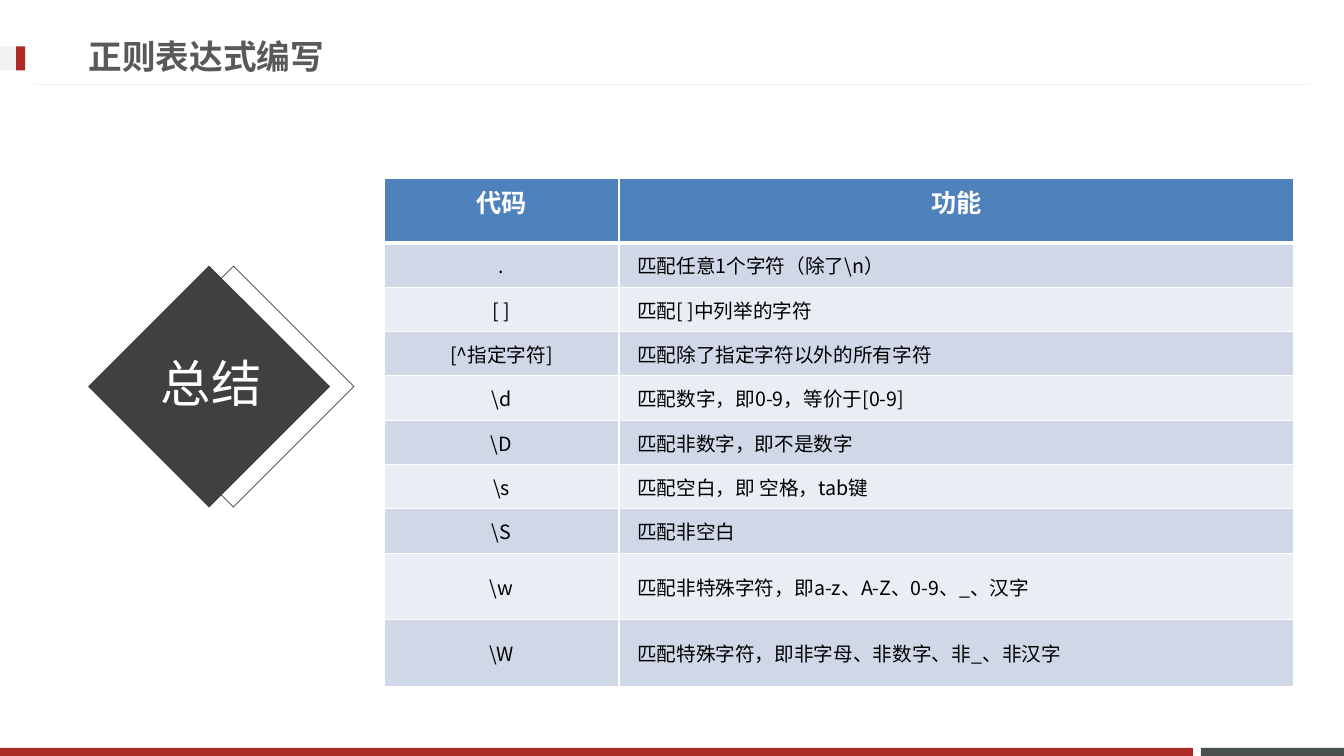
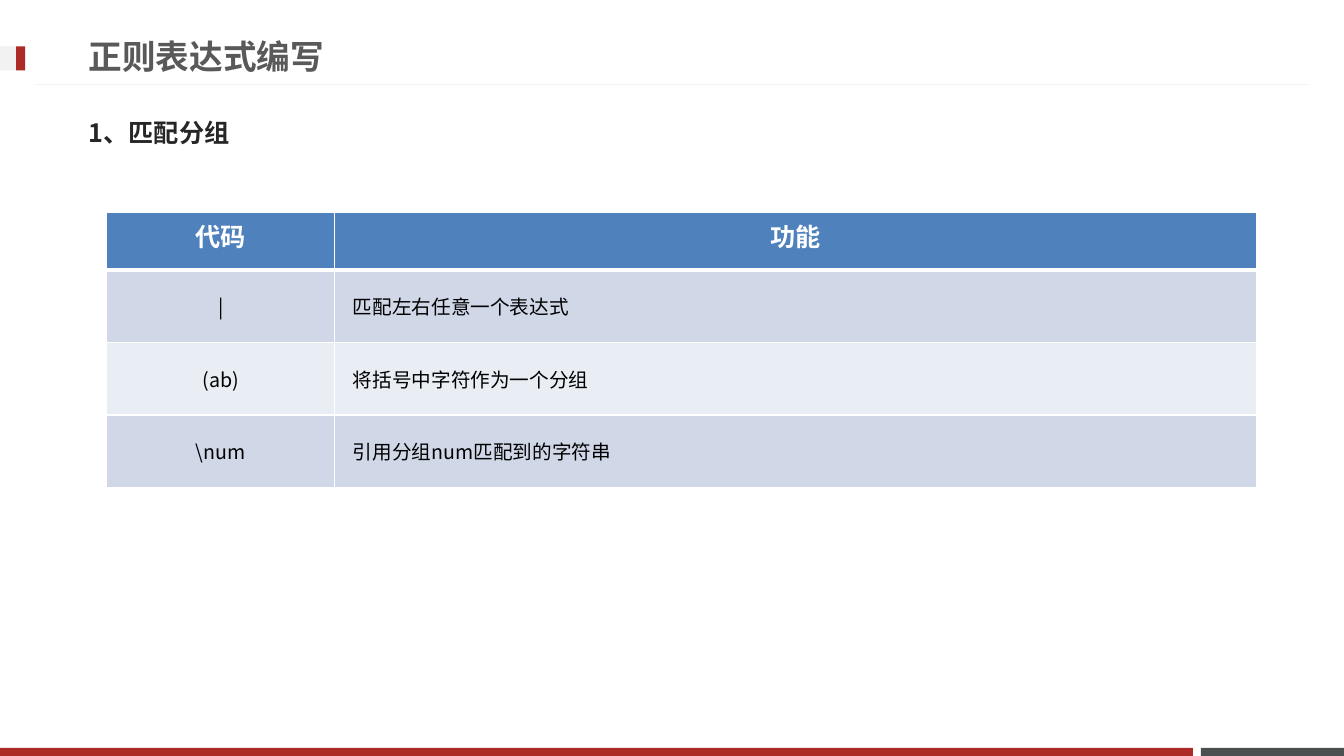
from dataclasses import dataclass
from math import sqrt

from pptx import Presentation
from pptx.dml.color import RGBColor
from pptx.enum.shapes import MSO_CONNECTOR, MSO_SHAPE
from pptx.enum.text import MSO_ANCHOR as Anchor, PP_ALIGN as Align
from pptx.oxml.ns import qn
from pptx.util import Inches, Pt
from lxml.etree import SubElement

WHITE = RGBColor(0xFF, 0xFF, 0xFF)
BLACK = RGBColor(0x00, 0x00, 0x00)
RED = RGBColor(0xAD, 0x2B, 0x26)
SLATE = RGBColor(0x49, 0x50, 0x4F)
CHARCOAL = RGBColor(0x40, 0x40, 0x40)
PALE = RGBColor(0xF2, 0xF2, 0xF2)
TITLE_GREY = RGBColor(0x59, 0x59, 0x59)
HEADING_GREY = RGBColor(0x26, 0x26, 0x26)
HEADER_BLUE = RGBColor(0x4F, 0x81, 0xBD)
BANDS = (RGBColor(0xD0, 0xD8, 0xE8), RGBColor(0xE9, 0xED, 0xF4))

CJK = "Noto Sans CJK SC"
TITLE = dict(name="Arial", size=Pt(24), bold=True, color=TITLE_GREY)
HEADING = dict(name=CJK, size=Pt(18), bold=True, color=HEADING_GREY)
BADGE = dict(name=CJK, size=Pt(36), bold=False, color=WHITE)
TABLE_HEAD = dict(name="Calibri", size=Pt(18), bold=True, color=WHITE)
TABLE_BODY = dict(name=CJK, size=Pt(14), bold=False, color=BLACK)
BODY_MARGINS = dict(margin_left=Inches(0.18), margin_right=Inches(0.18),
                    margin_top=Inches(0.08), margin_bottom=Inches(0.08))
HAIRLINE, HEAD_RULE = Pt(1), Pt(3)

TOPIC = "正则表达式编写"
COLUMNS = ("代码", "功能")
SUMMARY = [
    (".", "匹配任意1个字符（除了\\n）"),
    ("[ ]", "匹配[ ]中列举的字符"),
    ("[^指定字符]", "匹配除了指定字符以外的所有字符"),
    ("\\d", "匹配数字，即0-9，等价于[0-9]"),
    ("\\D", "匹配非数字，即不是数字"),
    ("\\s", "匹配空白，即 空格，tab键"),
    ("\\S", "匹配非空白"),
    ("\\w", "匹配非特殊字符，即a-z、A-Z、0-9、_、汉字"),
    ("\\W", "匹配特殊字符，即非字母、非数字、非_、非汉字"),
]
GROUPING = [
    ("|", "匹配左右任意一个表达式"),
    ("(ab)", "将括号中字符作为一个分组"),
    ("\\num", "引用分组num匹配到的字符串"),
]


@dataclass
class Box:
    left: int
    top: int
    width: int
    height: int

    def inner(self, left, top, width, height):
        """Return an inner box given in percent of this one."""
        return Box(self.left + int(self.width * left / 100),
                   self.top + int(self.height * top / 100),
                   int(self.width * width / 100),
                   int(self.height * height / 100))

    @property
    def place(self):
        return self.left, self.top, self.width, self.height


PAGE = Box(0, 0, Inches(13.33), Inches(7.5))


def write(frame, text, style, align=Align.LEFT, anchor=Anchor.MIDDLE):
    """Fill a text frame with one styled paragraph and return the paragraph."""
    frame.word_wrap = True
    frame.vertical_anchor = anchor
    paragraph = frame.paragraphs[0]
    paragraph.alignment = align
    run = paragraph.add_run()
    run.text = text
    for key, value in style.items():
        if key == "color":
            run.font.color.rgb = value
        else:
            setattr(run.font, key, value)
    SubElement(run.font._element, qn("a:ea"), typeface=CJK)
    return paragraph


def add_rect(slide, box, fill=None, line=None):
    rect = slide.shapes.add_shape(MSO_SHAPE.RECTANGLE, *box.place)
    rect.shadow.inherit = False
    if fill is None:
        rect.fill.background()
    else:
        rect.fill.solid()
        rect.fill.fore_color.rgb = fill
    if line is None:
        rect.line.fill.background()
    else:
        rect.line.color.rgb = line
        rect.line.width = Pt(0.5)
    return rect


def add_rule(slide, box):
    rule = slide.shapes.add_connector(MSO_CONNECTOR.STRAIGHT, box.left, box.top,
                                      box.left + box.width, box.top)
    rule.line.color.rgb = PALE
    rule.line.width = Pt(0.75)
    SubElement(rule.element.spPr, qn("a:effectLst"))
    return rule


def dress_layout(layout, slide):
    """Draw the shared bands on a slide, then move them to its layout."""
    marker = PAGE.inner(0, 6.13, 1.88, 3.2)
    shared = [
        add_rect(slide, PAGE.inner(89.35, 98.93, 10.65, 1.07), SLATE),
        add_rect(slide, PAGE.inner(0, 98.93, 88.75, 1.07), RED),
        add_rule(slide, PAGE.inner(2.63, 11.2, 94.74, 0)),
        add_rect(slide, marker, PALE),
        add_rect(slide, marker.inner(64, 0, 36, 100), RED),
    ]
    for number, shape in enumerate(shared, start=100):
        shape.element.xpath(".//p:cNvPr")[0].set("id", str(number))
        layout.element.cSld.spTree.append(shape.element)


def add_topic_slide(deck, layout):
    slide = deck.slides.add_slide(layout)
    title = slide.shapes.title
    title.left, title.top, title.width, title.height = PAGE.inner(
        5.85, 3.6, 71.94, 7.6).place
    write(title.text_frame, TOPIC, TITLE)
    return slide


def add_badge(slide, box, label):
    """Draw a filled diamond over an outlined one, with a label across."""
    side = int(box.height / sqrt(2))
    middle = box.top + box.height // 2
    for share, fill in ((55.25, None), (49.5, CHARCOAL)):
        center = box.left + int(box.width * share / 100)
        square = Box(center - side // 2, middle - side // 2, side, side)
        add_rect(slide, square, fill, CHARCOAL).rotation = 45
    caption = slide.shapes.add_textbox(*box.place)
    write(caption.text_frame, label, BADGE, Align.CENTER).line_spacing = 0.9


def set_borders(cell, top, bottom):
    properties = cell._tc.get_or_add_tcPr()
    widths = dict(lnL=HAIRLINE, lnR=HAIRLINE, lnT=top, lnB=bottom)
    for edge, width in widths.items():
        border = SubElement(properties, qn(f"a:{edge}"), w=str(width))
        fill = SubElement(border, qn("a:solidFill"))
        SubElement(fill, qn("a:srgbClr"), val=str(WHITE))


def add_code_table(slide, box, entries, column_weights, row_weights):
    rows = [COLUMNS, *entries]
    table = slide.shapes.add_table(len(rows), len(COLUMNS), *box.place).table
    for column, weight in zip(table.columns, column_weights):
        column.width = int(box.width * weight / sum(column_weights))
    for row, weight in zip(table.rows, row_weights):
        row.height = int(box.height * weight / sum(row_weights))
    for r, texts in enumerate(rows):
        header = r == 0
        for c, text in enumerate(texts):
            cell = table.cell(r, c)
            set_borders(cell, HEAD_RULE if r == 1 else HAIRLINE,
                        HEAD_RULE if header else HAIRLINE)
            cell.fill.solid()
            cell.fill.fore_color.rgb = HEADER_BLUE if header else BANDS[(r - 1) % 2]
            cell.vertical_anchor = Anchor.TOP if header else Anchor.MIDDLE
            if not header:
                for side, margin in BODY_MARGINS.items():
                    setattr(cell, side, margin)
            write(cell.text_frame, text, TABLE_HEAD if header else TABLE_BODY,
                  Align.CENTER if header or c == 0 else Align.LEFT,
                  cell.vertical_anchor)


def build_summary(slide):
    add_badge(slide, PAGE.inner(0, 35.2, 31.43, 31.87), "总结")
    add_code_table(slide, PAGE.inner(28.58, 23.6, 67.67, 67.2), SUMMARY,
                   (2.33, 6.69), [0.64] + [0.44] * 7 + [0.66] * 2)


def build_grouping(slide):
    add_code_table(slide, PAGE.inner(7.95, 28.1, 85.52, 36.4), GROUPING,
                   (2.26, 9.14), [0.57] + [0.72] * 3)
    heading = slide.shapes.add_textbox(*PAGE.inner(5.85, 13.73, 88.22, 7.6).place)
    write(heading.text_frame, "1、匹配分组", HEADING)


def main():
    deck = Presentation()
    deck.slide_width, deck.slide_height = PAGE.width, PAGE.height
    layout = deck.slide_layouts.get_by_name("Title Only")
    summary, grouping = (add_topic_slide(deck, layout) for _ in range(2))
    dress_layout(layout, summary)
    build_summary(summary)
    build_grouping(grouping)
    deck.save("out.pptx")


if __name__ == "__main__":
    main()
